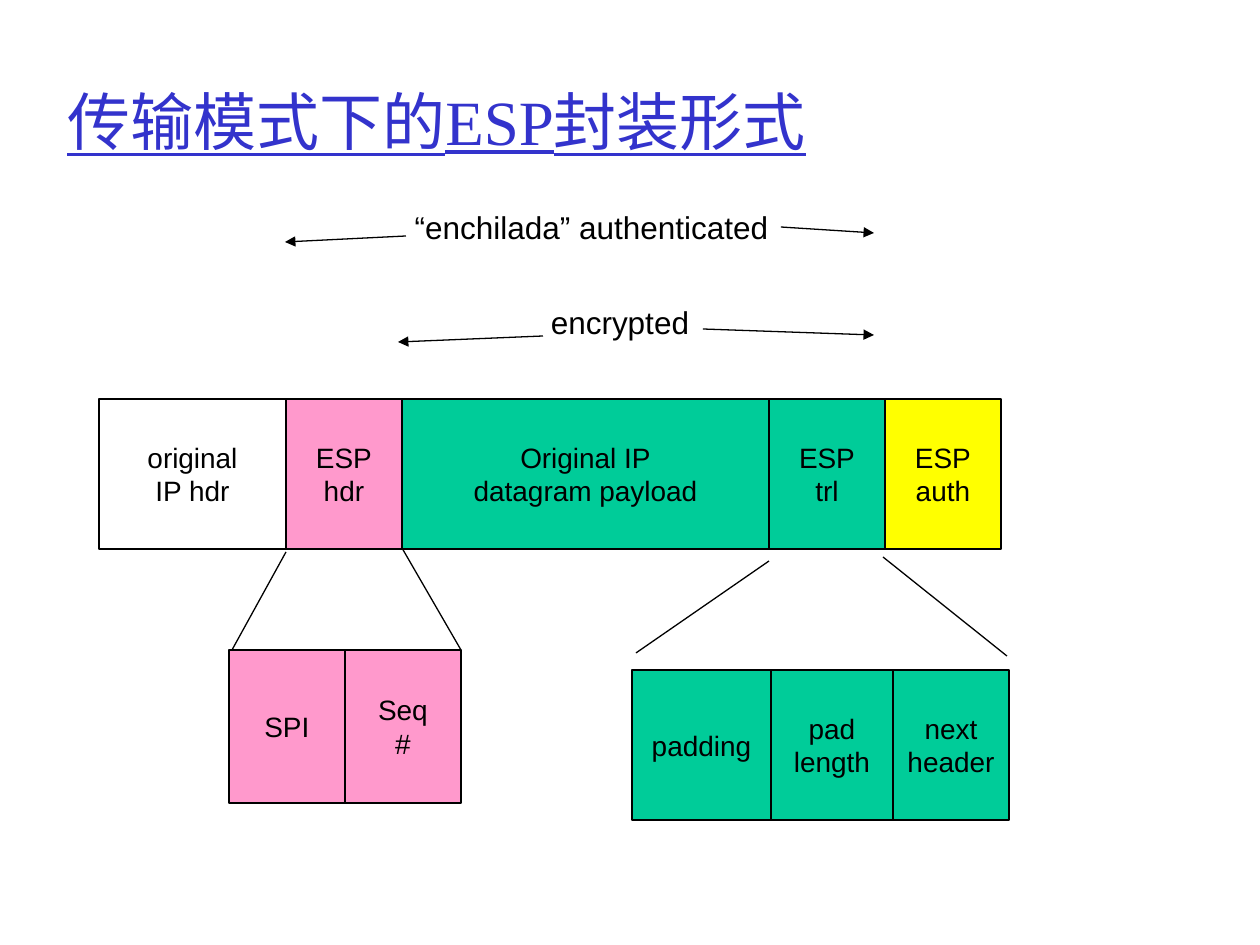
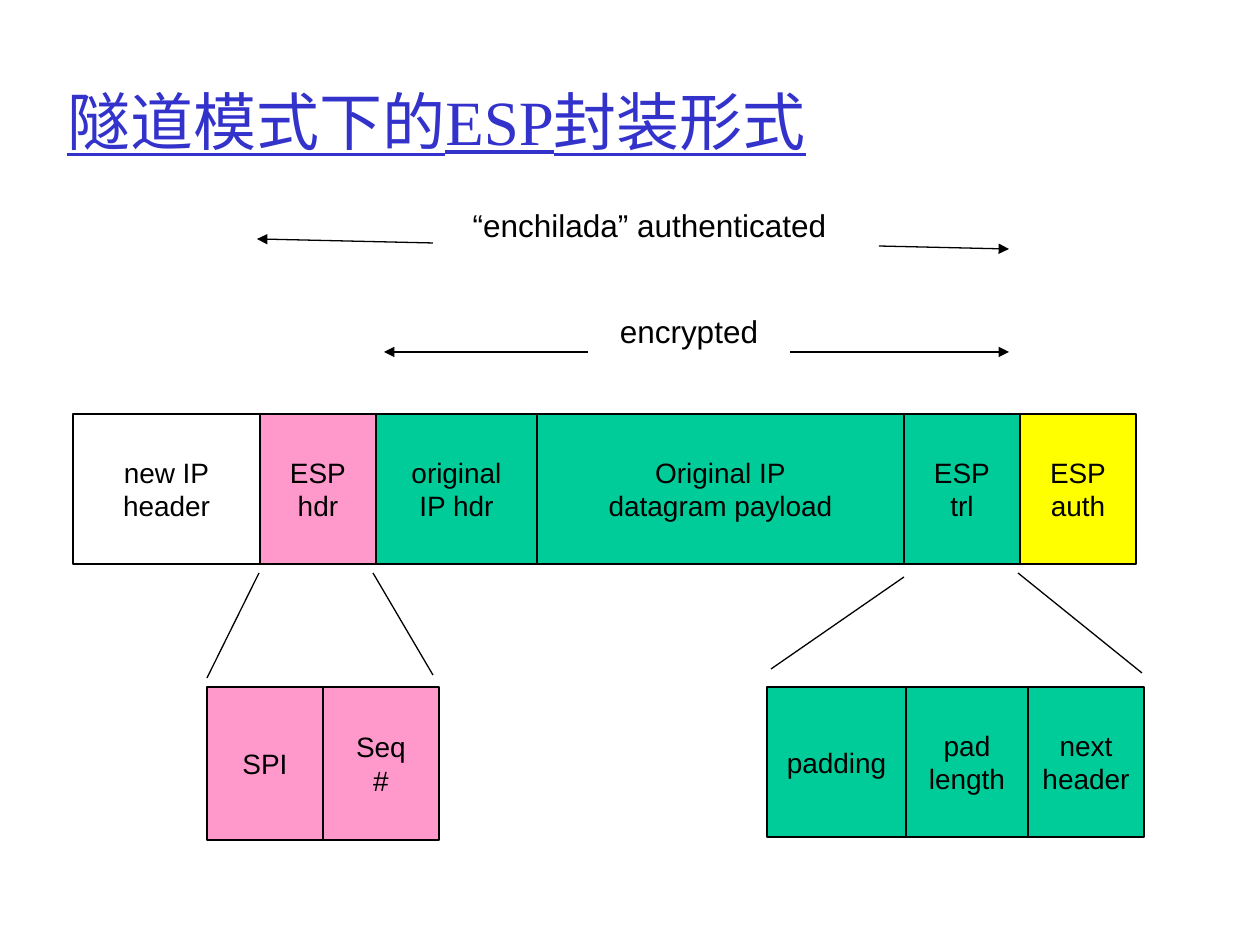
"""Build two slides on ESP encapsulation in transport and tunnel mode."""
from lxml import etree
from pptx import Presentation, util as u
from pptx.dml.color import RGBColor
from pptx.enum import shapes, text
from pptx.oxml.ns import qn

EMU_PER_PX = 914400 / 126
COLORS = {"title": "3333CC", "ink": "000000", "pink": "FF99CC",
          "green": "00CC99", "yellow": "FFFF00"}
TITLE_BOX = (55, 32, 1130, 176)
PACKET_H, ESP_HDR_H, ESP_TRL_H = 150, 153, 150

ESP_HDR = ("ESP\nhdr", 116, "pink")
PAYLOAD = [("Original IP\ndatagram payload", 367, "green"),
           ("ESP\ntrl", 116, "green"), ("ESP\nauth", 116, "yellow")]
HDR_FIELDS = [("SPI", 116, "pink"), ("Seq\n#", 116, "pink")]
TRL_FIELDS = [("padding", 139, "green"), ("pad\nlength", 122, "green"),
              ("next\nheader", 116, "green")]
AUTHENTICATED = ("“enchilada” authenticated", 379)
ENCRYPTED = ("encrypted", 164)

SLIDES = [
    {"title": "传输模式下的ESP封装形式",
     "packet": (99, 399, [("original\nIP hdr", 187, None), ESP_HDR, *PAYLOAD]),
     "hdr_at": (229, 650), "trl_at": (632, 670),
     "labels": [(ENCRYPTED, 538, 297), (AUTHENTICATED, 402, 202)],
     "arrows": [(703, 329, 874, 335), (543, 336, 398, 342),
                (781, 227, 874, 233), (406, 236, 285, 242)],
     "zoom_lines": [(636, 653, 769, 561), (1007, 656, 883, 557),
                    (232, 650, 286, 552), (402, 548, 461, 650)]},
    {"title": "隧道模式下的ESP封装形式",
     "packet": (73, 414, [("new IP\nheader", 187, None), ESP_HDR,
                          ("original\nIP hdr", 161, "green"), *PAYLOAD]),
     "hdr_at": (207, 687), "trl_at": (767, 687),
     "labels": [(ENCRYPTED, 607, 306), (AUTHENTICATED, 460, 200)],
     "arrows": [(790, 352, 1009, 352), (588, 352, 384, 352),
                (879, 246, 1009, 249), (433, 243, 257, 239)],
     "zoom_lines": [(771, 669, 904, 577), (1142, 673, 1018, 573),
                    (207, 678, 259, 573), (373, 573, 433, 675)]},
]


def px(*lengths):
    return [round(n * EMU_PER_PX) for n in lengths]


def rgb(name):
    return RGBColor.from_string(COLORS[name])


def write(sp, words, size, font="Arial", color="ink", align=text.PP_ALIGN.CENTER,
          anchor=text.MSO_ANCHOR.MIDDLE, underline=None, wrap=False):
    tf = sp.text_frame
    tf.text = words
    tf.word_wrap = wrap
    tf.vertical_anchor = anchor
    for p in tf.paragraphs:
        p.alignment = align
        for r in p.runs:
            r.font.size = u.Pt(size)
            r.font.name = font
            r.font.underline = underline
            r.font.color.rgb = rgb(color)


def add_title(s, words):
    sp = s.shapes.add_textbox(*px(*TITLE_BOX))
    write(sp, words, 36, "Times New Roman", "title", text.PP_ALIGN.LEFT,
          underline=True, wrap=True)


def add_fields(s, x, y, height, fields):
    for words, width, fill in fields:
        sp = s.shapes.add_shape(shapes.MSO_SHAPE.RECTANGLE, *px(x, y, width, height))
        sp.shadow.inherit = False
        if fill:
            sp.fill.solid()
            sp.fill.fore_color.rgb = rgb(fill)
        else:
            sp.fill.background()
        sp.line.color.rgb = rgb("ink")
        sp.line.width = u.Pt(0.75)
        write(sp, words, 16)
        x += width


def add_label(s, words, x, y, width):
    sp = s.shapes.add_textbox(*px(x, y, width, 50))
    write(sp, words, 18, anchor=text.MSO_ANCHOR.TOP)
    sp.text_frame.auto_size = text.MSO_AUTO_SIZE.SHAPE_TO_FIT_TEXT


def add_line(s, ends, arrow=False):
    cx = s.shapes.add_connector(shapes.MSO_CONNECTOR.STRAIGHT, *px(*ends))
    cx.line.color.rgb = rgb("ink")
    cx.line.width = u.Pt(0.75)
    if arrow:
        etree.SubElement(cx.line._get_or_add_ln(), qn("a:tailEnd"), type="triangle")
    etree.SubElement(cx._element.spPr, qn("a:effectLst"))


def main():
    prs = Presentation()
    prs.slide_width, prs.slide_height = u.Inches(10), u.Inches(7.5)
    for content in SLIDES:
        s = prs.slides.add_slide(prs.slide_layouts[6])
        add_title(s, content["title"])
        x, y, fields = content["packet"]
        add_fields(s, x, y, PACKET_H, fields)
        for (words, width), x, y in content["labels"]:
            add_label(s, words, x, y, width)
        for ends in content["arrows"]:
            add_line(s, ends, arrow=True)
        add_fields(s, *content["trl_at"], ESP_TRL_H, TRL_FIELDS)
        add_fields(s, *content["hdr_at"], ESP_HDR_H, HDR_FIELDS)
        for ends in content["zoom_lines"]:
            add_line(s, ends)
    prs.save("out.pptx")


if __name__ == "__main__":
    main()
